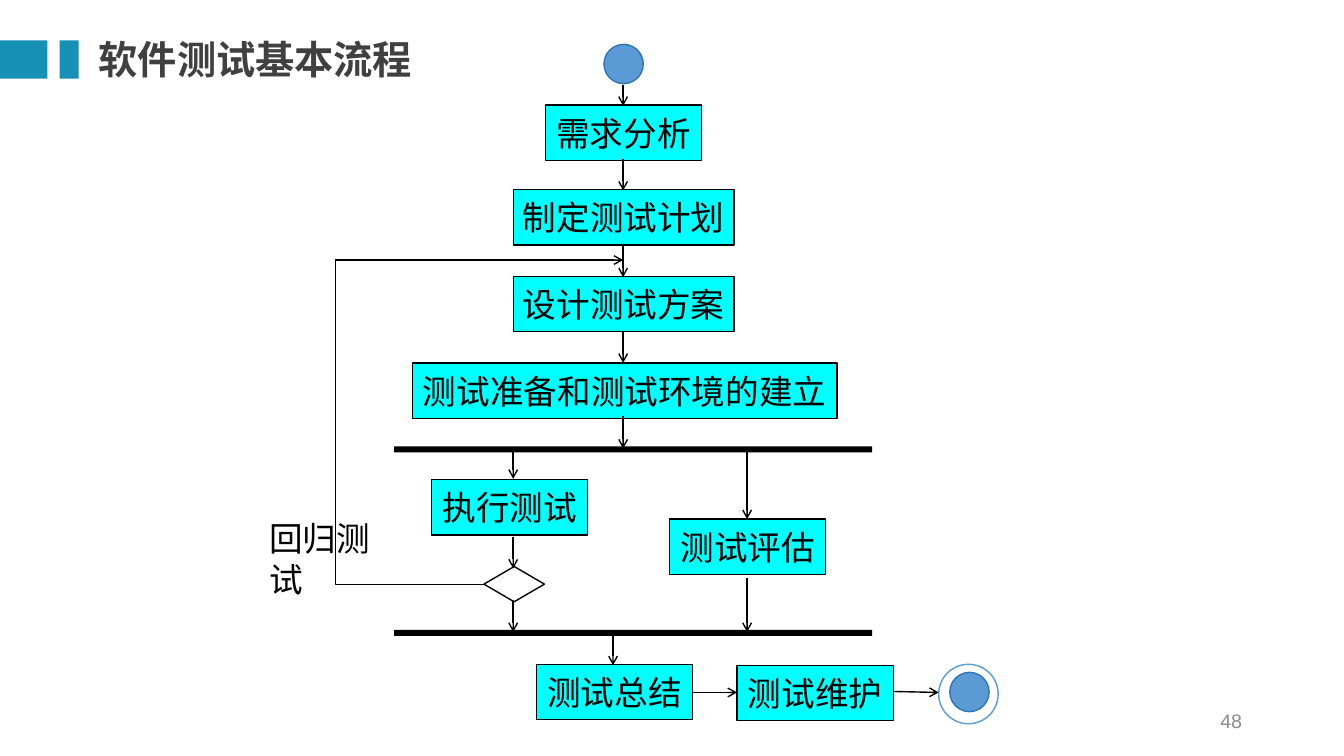
from lxml.etree import SubElement
from pptx import Presentation
from pptx.dml.color import RGBColor
from pptx.enum.shapes import MSO_CONNECTOR, MSO_SHAPE
from pptx.enum.text import MSO_ANCHOR, PP_ALIGN
from pptx.oxml.ns import qn
from pptx.util import Emu, Pt

PX = 9144  # 100 px to the inch
CHINESE = "Noto Sans CJK SC"

presentation = Presentation()
presentation.slide_width = Emu(1333 * PX)
presentation.slide_height = Emu(750 * PX)
slide = presentation.slides.add_slide(presentation.slide_layouts[6])


def add_shape(kind, left, top, width, height, fill=None, line=None):
    shape = slide.shapes.add_shape(kind, *(Emu(n * PX) for n in (left, top, width, height)))
    shape.shadow.inherit = False
    if fill:
        shape.fill.solid()
        shape.fill.fore_color.rgb = RGBColor.from_string(fill)
    else:
        shape.fill.background()
    if line:
        shape.line.color.rgb = RGBColor.from_string(line)
        shape.line.width = Pt(1)
    else:
        shape.line.fill.background()
    return shape


def write(shape, text, size, color, name=CHINESE, align=PP_ALIGN.LEFT, bold=False):
    frame = shape.text_frame
    frame.margin_left = frame.margin_right = frame.margin_top = frame.margin_bottom = 0
    frame.vertical_anchor = MSO_ANCHOR.MIDDLE
    frame.word_wrap = False
    paragraph = frame.paragraphs[0]
    paragraph.text = text
    paragraph.alignment = align
    font = paragraph.font
    font.size, font.bold, font.name = Pt(size), bold, name
    font.color.rgb = RGBColor.from_string(color)
    SubElement(paragraph._p.pPr.find(qn("a:defRPr")), qn("a:ea"), typeface=name)


# Title bars
for left, width in ((0, 47), (59, 19)):
    add_shape(MSO_SHAPE.RECTANGLE, left, 40, width, 38, fill="1691B5")

# Title, loop label and page number
for text, box, size, color, name, align, bold in (
    ("软件测试基本流程", (98, 31, 434, 55), 28, "404040", CHINESE, PP_ALIGN.LEFT, True),
    ("回归测试", (267, 534, 133, 40), 24, "000000", CHINESE, PP_ALIGN.LEFT, False),
    ("48", (942, 695, 290, 40), 14, "8C8C8C", "Arial", PP_ALIGN.RIGHT, False),
):
    label = slide.shapes.add_textbox(*(Emu(n * PX) for n in box))
    write(label, text, size, color, name, align, bold)

# Start and end nodes
for left, top in ((599, 44), (942, 667)):
    add_shape(MSO_SHAPE.FLOWCHART_CONNECTOR, left, top, 39, 39, "5B9BD5", "2E75B6")
add_shape(MSO_SHAPE.FLOWCHART_CONNECTOR, 931, 659, 59, 59, line="5B9BD5")

# Steps
for text, left, top, width in (
    ("需求分析", 541, 104, 155),
    ("制定测试计划", 509, 188, 219),
    ("设计测试方案", 509, 274, 219),
    ("测试准备和测试环境的建立", 409, 360, 421),
    ("执行测试", 428, 476, 155),
    ("测试评估", 664, 515, 155),
    ("测试总结", 532, 659, 155),
    ("测试维护", 731, 660, 155),
):
    step = add_shape(MSO_SHAPE.RECTANGLE, left, top, width, 55, "00FFFF", "000000")
    write(step, text, 24, "000000", align=PP_ALIGN.CENTER)

# Fork and join bars, decision
for top in (443, 625):
    add_shape(MSO_SHAPE.RECTANGLE, 391, top, 474, 6, fill="000000")
add_shape(MSO_SHAPE.DIAMOND, 480, 562, 60, 35, line="000000")

# Arrows, then the elbow of the regression loop
for x1, y1, x2, y2 in (
    (618, 84, 618, 105),
    (618, 158, 618, 189),
    (618, 243, 618, 275),
    (618, 328, 618, 360),
    (618, 413, 618, 445),
    (509, 444, 509, 475),
    (509, 533, 509, 564),
    (509, 595, 509, 627),
    (741, 446, 741, 515),
    (741, 573, 741, 627),
    (608, 629, 608, 660),
    (687, 687, 731, 687),
    (886, 686, 931, 687),
    (333, 258, 618, 258),
    (480, 580, 333, 257),
):
    is_elbow = x1 != x2 and abs(y1 - y2) > 1
    kind = MSO_CONNECTOR.ELBOW if is_elbow else MSO_CONNECTOR.STRAIGHT
    connector = slide.shapes.add_connector(kind, *(Emu(n * PX) for n in (x1, y1, x2, y2)))
    connector.line.color.rgb = RGBColor.from_string("000000")
    connector.line.width = Pt(1)
    properties = connector._element.spPr
    if is_elbow:
        properties.find(qn("a:prstGeom")).set("prst", "bentConnector2")
    else:
        SubElement(properties.find(qn("a:ln")), qn("a:tailEnd"), type="arrow")
    SubElement(properties, qn("a:effectLst"))

presentation.save("out.pptx")
